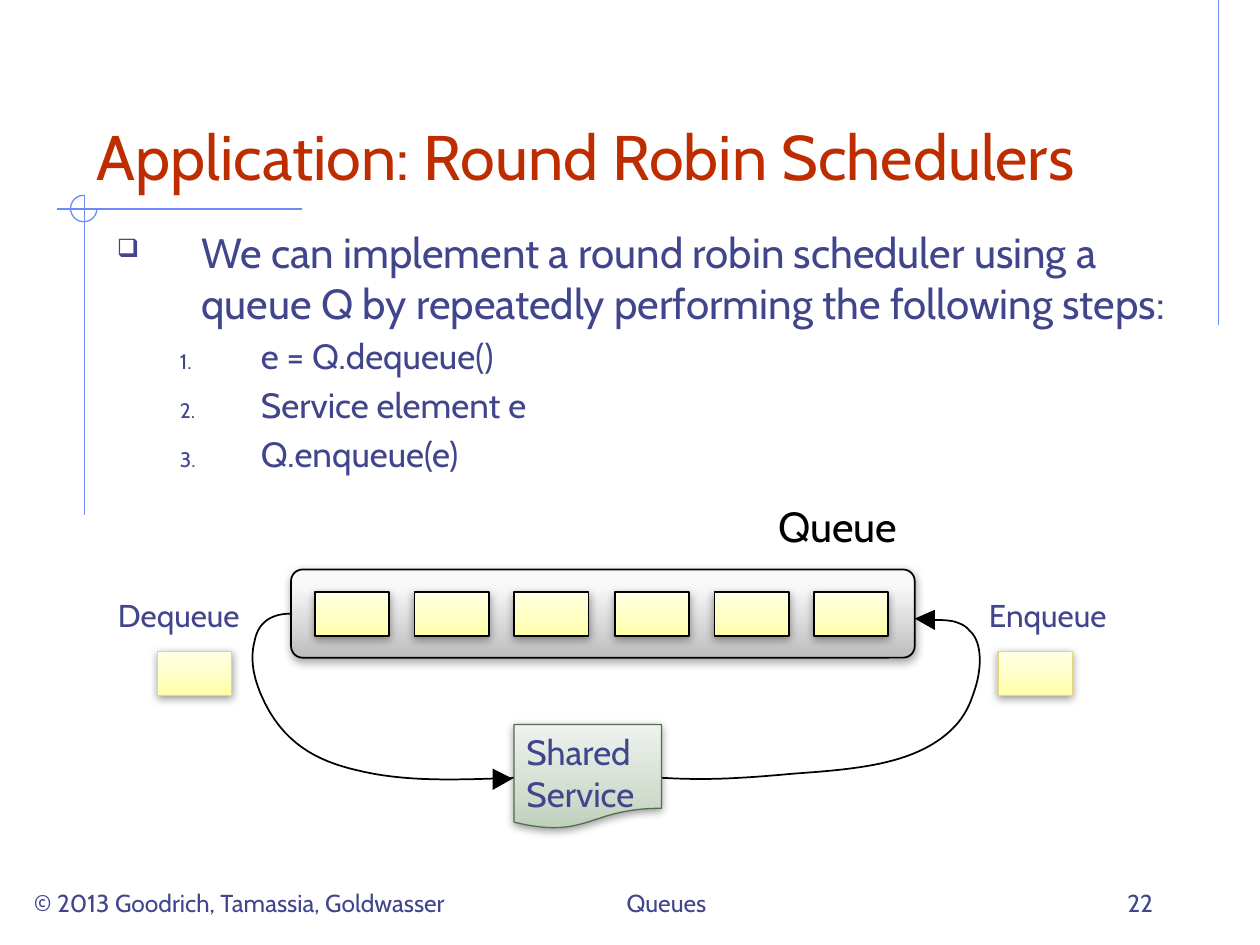
import pptx
import pptx.util
from lxml import etree
from pptx.dml.color import RGBColor
from pptx.enum.shapes import MSO_CONNECTOR, MSO_SHAPE
from pptx.enum.text import MSO_ANCHOR, PP_ALIGN
from pptx.oxml.ns import qn

PX = 9144
FONT = "Cabin"
NAVY = RGBColor(0x40, 0x45, 0x8C)
RED = RGBColor(0xBE, 0x2D, 0x00)
BLACK = RGBColor(0x00, 0x00, 0x00)
RULE = RGBColor(0x6F, 0x89, 0xF7)
GOLD = RGBColor(0xE9, 0xD5, 0x7C)
MOSS = RGBColor(0x54, 0x6E, 0x4F)
GRAY = [(0, RGBColor(0xF8, 0xF8, 0xF8)), (20, RGBColor(0xF7, 0xF7, 0xF7)),
        (100, RGBColor(0xBD, 0xBD, 0xBD))]
CREAM = [(0, RGBColor(0xFF, 0xFF, 0xA5)), (35, RGBColor(0xFF, 0xFF, 0xBF)),
         (100, RGBColor(0xFF, 0xFF, 0xE4))]
SAGE = [(0, RGBColor(0xBF, 0xCF, 0xBC)), (35, RGBColor(0xD2, 0xDD, 0xD0)),
        (100, RGBColor(0xEE, 0xF2, 0xED))]


def emu(*sizes):
    return [round(size * PX) for size in sizes]


def node(root, tag, **attrs):
    item = etree.SubElement(root, qn(tag))
    for key, value in attrs.items():
        item.set(key, str(value))
    return item


def stroke(shape, color, width):
    shape.line.color.rgb = color
    shape.line.width = pptx.util.Pt(width)


def style(para, size, color, align=PP_ALIGN.LEFT):
    para.alignment = align
    for run in para.runs:
        run.font.size = pptx.util.Pt(size)
        run.font.name = FONT
        run.font.color.rgb = color


def label(slide, box, text, size, color=NAVY, align=PP_ALIGN.LEFT,
          anchor=MSO_ANCHOR.TOP, wrap=True):
    frame = slide.shapes.add_textbox(*emu(*box)).text_frame
    frame.word_wrap = wrap
    frame.vertical_anchor = anchor
    frame.text = text
    style(frame.paragraphs[0], size, color, align)


def bullet(para, left, hang, tag, **attrs):
    props = para._p.get_or_add_pPr()
    props.set("marL", str(left * PX))
    props.set("indent", str(-hang * PX))
    tint = node(props, "a:buClr")
    node(tint, "a:srgbClr", val=NAVY)
    node(props, "a:buSzPct", val=60000)
    node(props, tag, **attrs)


def body(slide, box, lead, steps):
    frame = slide.shapes.add_textbox(*emu(*box)).text_frame
    frame.word_wrap = True
    frame.text = "\n".join([lead] + steps)
    for rank, para in enumerate(frame.paragraphs):
        size = 20 if rank else 24
        style(para, size, NAVY)
        para.space_before = pptx.util.Pt(size / 5)
        if rank:
            para.level = 1
            bullet(para, 108, 58, "a:buAutoNum", type="arabicPeriod")
        else:
            bullet(para, 67, 67, "a:buChar", char="❑")


def rule(slide, *ends):
    line = slide.shapes.add_connector(MSO_CONNECTOR.STRAIGHT, *emu(*ends))
    stroke(line, RULE, 0.75)
    node(line._element.spPr, "a:effectLst")


def shade(shape, stops, angle):
    shape.fill.gradient()
    shape.fill.gradient_angle = angle
    ramp = shape._element.spPr.find(".//" + qn("a:gsLst"))
    ramp.clear()
    for place, color in stops:
        stop = node(ramp, "a:gs", pos=place * 1000)
        node(stop, "a:srgbClr", val=color)


def panel(slide, kind, box, stops, color, width, angle=90, drop=1.6, alpha=38):
    shape = slide.shapes.add_shape(kind, *emu(*box))
    shade(shape, stops, angle)
    stroke(shape, color, width)
    shape.shadow.inherit = False
    effects = shape._element.spPr.find(qn("a:effectLst"))
    cast = node(effects, "a:outerShdw", blurRad=pptx.util.Pt(5),
                dist=pptx.util.Pt(drop), dir=5400000, rotWithShape=0)
    tint = node(cast, "a:srgbClr", val=BLACK)
    node(tint, "a:alpha", val=alpha * 1000)
    return shape


def cell(slide, left, top, color=GOLD, width=0.75):
    panel(slide, MSO_SHAPE.RECTANGLE, (left, top, 59, 35), CREAM, color, width)


def outline(slide, points, close):
    spots = [emu(*point) for point in points]
    pen = slide.shapes.build_freeform(*spots[0])
    pen.add_line_segments(spots[1:], close=close)
    shape = pen.convert_to_shape()
    shape.shadow.inherit = False
    return shape


def curve(slide, start, bends, count=16):
    points = [start]
    for bend in bends:
        knots = [points[-1], *bend]
        for step in range(1, count + 1):
            t = step / count
            parts = ((1 - t) ** 3, 3 * t * (1 - t) ** 2, 3 * t * t * (1 - t), t ** 3)
            points.append(tuple(sum(part * knot[axis] for part, knot in zip(parts, knots))
                                for axis in (0, 1)))
    shape = outline(slide, points, False)
    shape.fill.background()
    stroke(shape, BLACK, 1)


def head(slide, *points):
    shape = outline(slide, points, True)
    shape.fill.solid()
    shape.fill.fore_color.rgb = BLACK
    shape.line.fill.background()


def frame(slide):
    rule(slide, 967, 0, 967, 258)
    rule(slide, 240, 166, 45, 166)
    rule(slide, 67, 155, 67, 409)
    ring = slide.shapes.add_shape(MSO_SHAPE.ARC, *emu(56, 155, 21, 21))
    ring.adjustments[0] = 0
    ring.adjustments[1] = 162
    ring.fill.background()
    stroke(ring, RULE, 0.75)
    ring.shadow.inherit = False


def queue(slide):
    track = panel(slide, MSO_SHAPE.ROUNDED_RECTANGLE, (231, 452, 495, 70), GRAY,
                  BLACK, 1, angle=270, drop=1.8, alpha=35)
    track.adjustments[0] = 0.13
    for rank in range(6):
        cell(slide, round(250 + 79.2 * rank), 470, BLACK, 1)
    for left in (125, 792):
        cell(slide, left, 517)


def flow(slide):
    curve(slide, (231, 487), [
        [(211, 487), (204, 498), (202, 509)],
        [(198, 524), (202, 539), (207, 551)],
        [(224, 591), (253, 604), (282, 611)],
        [(322, 621), (363, 619), (416, 617)]])
    head(slide, (391, 627), (407, 618), (391, 610))
    curve(slide, (519, 617), [
        [(538, 618), (540, 618), (542, 618)],
        [(569, 619), (597, 617), (630, 614)],
        [(657, 612), (688, 610), (714, 602)],
        [(733, 596), (749, 587), (760, 574)],
        [(765, 568), (769, 561), (772, 552)],
        [(779, 534), (781, 510), (769, 500)],
        [(766, 496), (760, 494), (756, 493)],
        [(750, 492), (745, 492), (737, 492)]])
    head(slide, (742, 500), (726, 491), (742, 484))


def serve(slide):
    sheet = panel(slide, MSO_SHAPE.FLOWCHART_DOCUMENT, (408, 575, 117, 83),
                  SAGE, MOSS, 0.75)
    text = sheet.text_frame
    text.word_wrap = False
    text.vertical_anchor = MSO_ANCHOR.TOP
    text.text = "Shared \vService"
    style(text.paragraphs[0], 20, NAVY)


def main():
    deck = pptx.Presentation()
    deck.slide_width, deck.slide_height = emu(1000, 750)
    slide = deck.slides.add_slide(deck.slide_layouts[6])
    low = MSO_ANCHOR.BOTTOM
    frame(slide)
    label(slide, (67, 33, 850, 125), "Application: Round Robin Schedulers", 36, RED,
          anchor=low)
    body(slide, (83, 175, 875, 267),
         "We can implement a round robin scheduler using a queue Q by repeatedly "
         "performing the following steps:",
         [" e = Q.dequeue()", " Service element e", " Q.enqueue(e)"])
    queue(slide)
    flow(slide)
    serve(slide)
    label(slide, (608, 392, 117, 51), "Queue", 24, BLACK, wrap=False)
    label(slide, (775, 468, 208, 40), "Enqueue", 18)
    label(slide, (17, 468, 183, 40), "Dequeue", 18, align=PP_ALIGN.RIGHT)
    for left, width, text, align in (
            (17, 375, "© 2013 Goodrich, Tamassia, Goldwasser", PP_ALIGN.LEFT),
            (400, 258, "Queues", PP_ALIGN.CENTER),
            (717, 208, "22", PP_ALIGN.RIGHT)):
        label(slide, (left, 683, width, 50), text, 14, align=align, anchor=low)
    deck.save("out.pptx")


if __name__ == "__main__":
    main()
